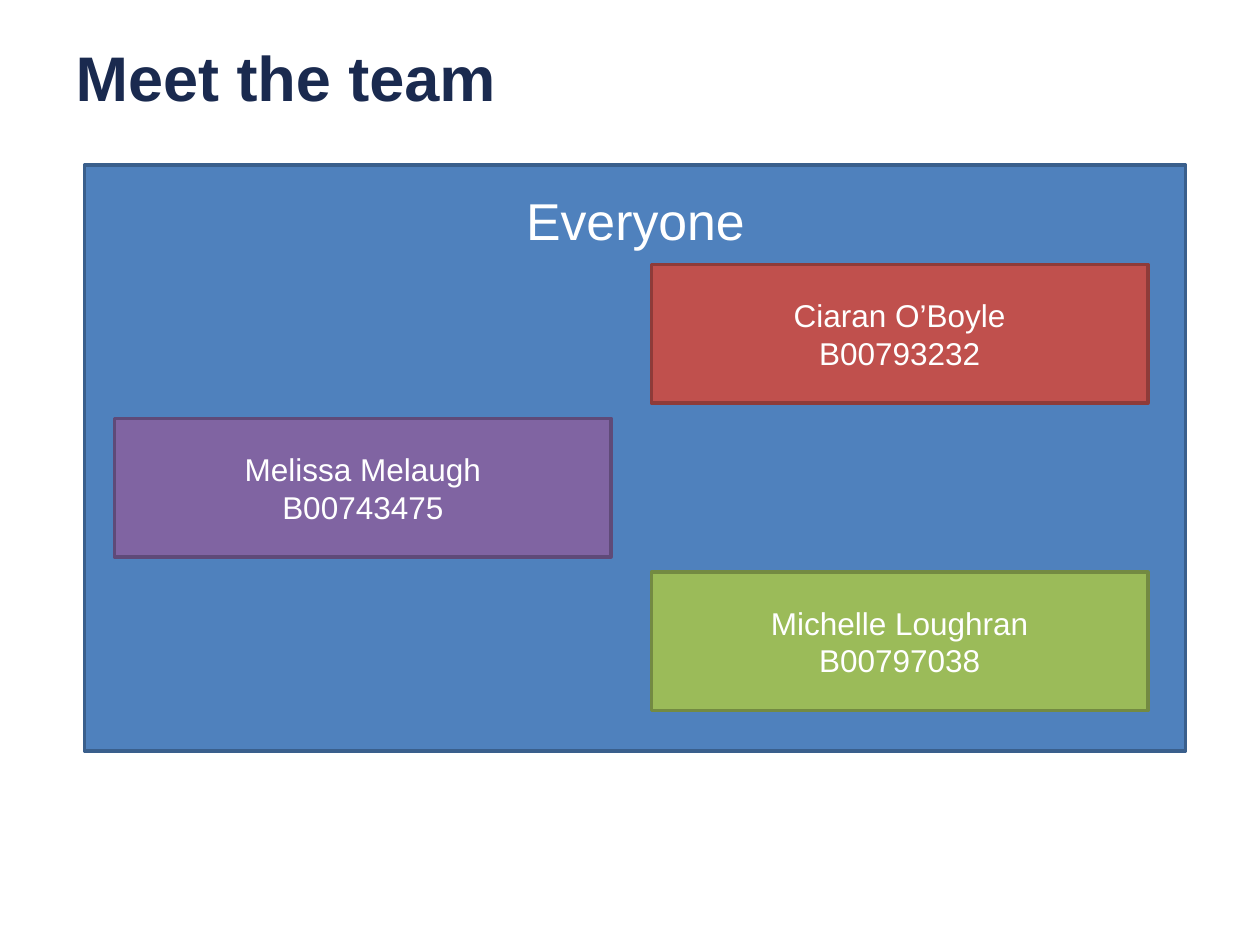
from dataclasses import dataclass

from pptx import Presentation
from pptx.dml.color import RGBColor
from pptx.enum.shapes import MSO_SHAPE
from pptx.enum.text import MSO_ANCHOR, MSO_AUTO_SIZE, PP_ALIGN
from pptx.util import Inches, Pt

RECTANGLE = MSO_SHAPE.RECTANGLE
MIDDLE = MSO_ANCHOR.MIDDLE
NO_FIT = MSO_AUTO_SIZE.NONE
LEFT, CENTER = PP_ALIGN.LEFT, PP_ALIGN.CENTER
TITLE_ONLY = 5


@dataclass(frozen=True)
class Theme:
    """Colours, as (fill, outline) pairs for panels, and type sizes."""
    font: str = "Arial"
    ink: str = "1A2A4F"
    white: str = "FFFFFF"
    blue: tuple = ("4F81BD", "3A5F8C")
    purple: tuple = ("8064A2", "5F4A78")
    red: tuple = ("C0504D", "8E3B39")
    green: tuple = ("9BBB59", "738A42")
    title_size: float = 36
    heading_size: float = 29.6
    member_size: float = 18
    outline_width: float = 2


class TeamSlide:
    """Draws styled elements on one slide."""

    def __init__(self, slide, theme):
        """Keep the slide and its theme."""
        self.slide = slide
        self.theme = theme
        fill = slide.background.fill
        fill.solid()
        fill.fore_color.rgb = RGBColor.from_string(theme.white)

    def set_lines(self, frame, lines, size, color, align=CENTER, bold=False):
        """Fill a text frame with one paragraph per line."""
        frame.word_wrap = True
        frame.auto_size = NO_FIT
        frame.vertical_anchor = MIDDLE
        for index, line in enumerate(lines):
            paragraph = frame.add_paragraph() if index else frame.paragraphs[0]
            paragraph.alignment = align
            run = paragraph.add_run()
            run.text = line
            run.font.name = self.theme.font
            run.font.size = Pt(size)
            run.font.bold = bold
            run.font.color.rgb = RGBColor.from_string(color)

    def title(self, words, left, top, width, height):
        """Place and format the title placeholder."""
        title = self.slide.shapes.title
        title.left, title.top = Inches(left), Inches(top)
        title.width, title.height = Inches(width), Inches(height)
        self.set_lines(title.text_frame, [words], self.theme.title_size,
                       self.theme.ink, LEFT, True)

    def heading(self, words, left, top, width, height):
        """Add a centred heading."""
        heading = self.slide.shapes.add_textbox(
            Inches(left), Inches(top), Inches(width), Inches(height))
        self.set_lines(heading.text_frame, [words], self.theme.heading_size,
                       self.theme.white)

    def panel(self, colors, left, top, width, height, lines=()):
        """Add an outlined rectangle with optional centred lines."""
        panel = self.slide.shapes.add_shape(
            RECTANGLE, Inches(left), Inches(top), Inches(width), Inches(height))
        fill, outline = map(RGBColor.from_string, colors)
        panel.shadow.inherit = False
        panel.fill.solid()
        panel.fill.fore_color.rgb = fill
        panel.line.color.rgb = outline
        panel.line.width = Pt(self.theme.outline_width)
        self.set_lines(panel.text_frame, lines, self.theme.member_size,
                       self.theme.white)


def main():
    """Build the team slide."""
    deck = Presentation()
    deck.slide_width, deck.slide_height = Inches(10), Inches(7.5)
    theme = Theme()
    page = TeamSlide(
        deck.slides.add_slide(deck.slide_layouts[TITLE_ONLY]), theme)

    page.title("Meet the team", 0.5, 0.3, 8.99, 0.61)
    page.panel(theme.blue, 0.67, 1.31, 8.74, 4.65)
    page.heading("Everyone", 0.83, 1.47, 8.43, 0.55)

    left_column, right_column = 0.91, 5.17
    first_row, row_step = 2.1, 1.22
    card_width, card_height = 3.94, 1.1
    members = [
        ("Melissa Melaugh", "B00743475", theme.purple, left_column, 1),
        ("Ciaran O\u2019Boyle", "B00793232", theme.red, right_column, 0),
        ("Michelle Loughran", "B00797038", theme.green, right_column, 2),
    ]
    for name, number, colors, left, row in members:
        page.panel(colors, left, first_row + row * row_step,
                   card_width, card_height, (name, number))

    deck.save("out.pptx")


main()
